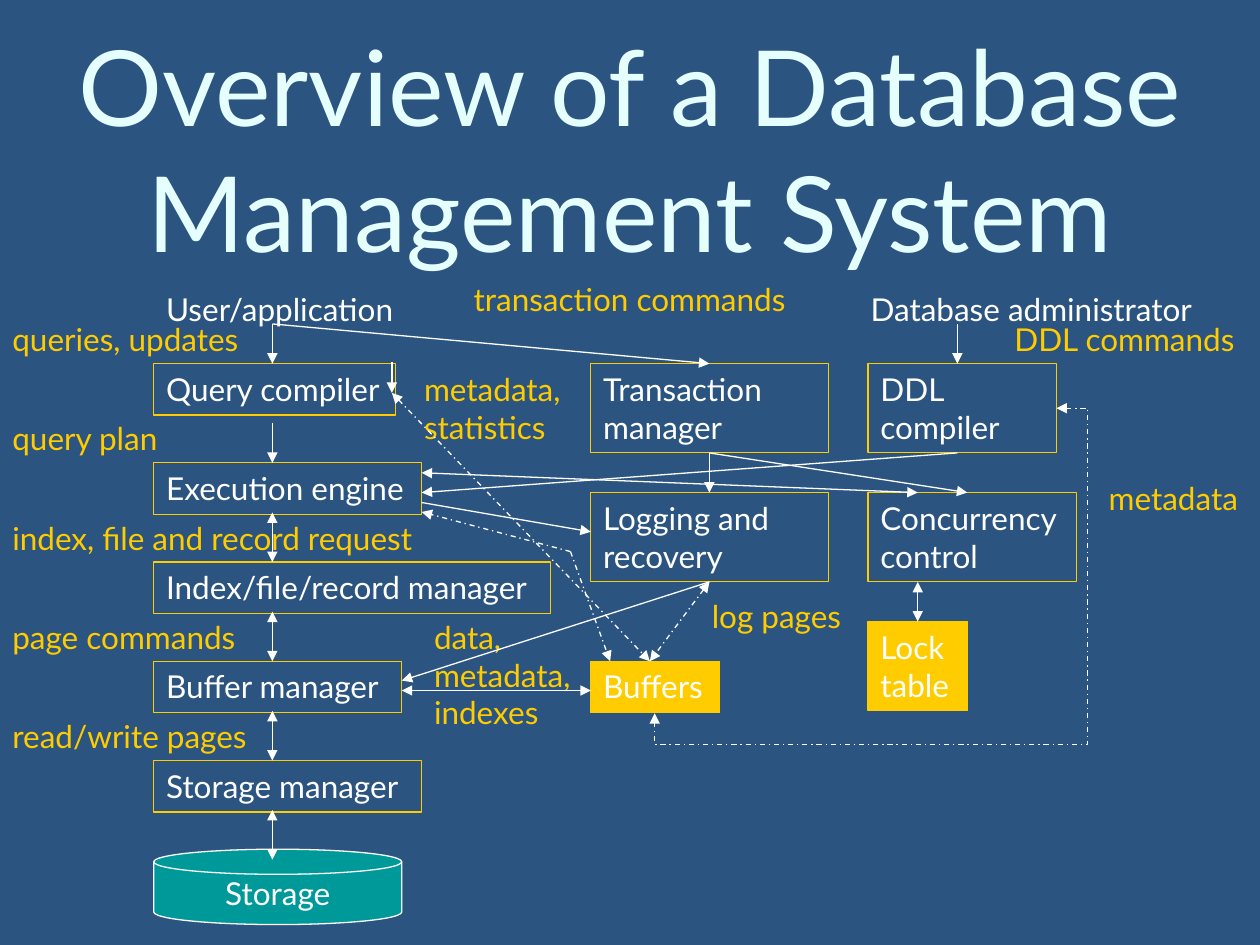
"""Build the database management system overview slide."""
from dataclasses import dataclass

from lxml.etree import SubElement
from pptx import Presentation
from pptx.dml.color import RGBColor
from pptx.enum.dml import MSO_LINE
from pptx.enum.shapes import MSO_CONNECTOR, MSO_SHAPE
from pptx.enum.text import MSO_ANCHOR, MSO_AUTO_SIZE, PP_ALIGN
from pptx.oxml.ns import qn
from pptx.util import Cm, Pt

COLORS = {"back": "2B5481", "title": "E5FFFF", "text": "FFFFFF",
          "accent": "FFCC00", "disk": "009999"}
GROW = {"word_wrap": True, "auto_size": MSO_AUTO_SIZE.SHAPE_TO_FIT_TEXT,
        "vertical_anchor": MSO_ANCHOR.TOP}
TITLE = {"word_wrap": True, "auto_size": MSO_AUTO_SIZE.NONE,
         "vertical_anchor": MSO_ANCHOR.MIDDLE}
DISK = {**TITLE, "word_wrap": False}

LEFT, MIDDLE, RIGHT = 3.1, 11.91, 17.5
TOP, STEP, TALL_STEP = 7.33, 2.0, 2.6
ONE_LINE, TWO_LINES = 1.04, 1.8
FLOW_X, MANAGER_X = 5.49, 14.3


@dataclass
class Box:
    text: str
    x: float
    y: float
    w: float
    h: float = ONE_LINE
    fill: str = ""
    line: str = "accent"
    kind: MSO_SHAPE = MSO_SHAPE.RECTANGLE


@dataclass
class Label:
    text: str
    x: float
    y: float
    w: float
    h: float = 1.02
    color: str = "accent"


@dataclass
class Arrow:
    x1: float
    y1: float
    x2: float
    y2: float
    both: bool = False
    dashed: bool = False
    bend: tuple[int, ...] = ()


def rgb(name: str) -> RGBColor:
    return RGBColor.from_string(COLORS[name])


def apply(target: object, values: dict) -> None:
    for key, value in values.items():
        setattr(target, key, value)


def write(tf, text: str, color: str, frame: dict, size: int = 18,
          align: PP_ALIGN = PP_ALIGN.LEFT) -> None:
    apply(tf, frame)
    p = tf.paragraphs[0]
    p.alignment = align
    r = p.add_run()
    r.text = text
    apply(r.font, {"name": "Lato", "size": Pt(size)})
    r.font.color.rgb = rgb(color)


def draw_box(s, box: Box) -> None:
    sp = s.shapes.add_shape(box.kind, Cm(box.x), Cm(box.y), Cm(box.w), Cm(box.h))
    sp.shadow.inherit = False
    if box.fill:
        sp.fill.solid()
        sp.fill.fore_color.rgb = rgb(box.fill)
    else:
        sp.fill.background()
    sp.line.color.rgb = rgb(box.line)
    sp.line.width = Pt(0.75)
    disk = box.kind == MSO_SHAPE.FLOWCHART_MAGNETIC_DISK
    write(sp.text_frame, box.text, "text", DISK if disk else GROW,
          align=PP_ALIGN.CENTER if disk else PP_ALIGN.LEFT)


def draw_label(s, label: Label) -> None:
    sp = s.shapes.add_textbox(Cm(label.x), Cm(label.y), Cm(label.w), Cm(label.h))
    write(sp.text_frame, label.text, label.color, GROW)


def draw_arrow(s, arrow: Arrow) -> None:
    kind = MSO_CONNECTOR.ELBOW if arrow.bend else MSO_CONNECTOR.STRAIGHT
    sp = s.shapes.add_connector(kind, Cm(arrow.x1), Cm(arrow.y1),
                                Cm(arrow.x2), Cm(arrow.y2))
    sp.line.color.rgb = rgb("text")
    sp.line.width = Pt(0.75)
    if arrow.dashed:
        sp.line.dash_style = MSO_LINE.DASH_DOT
    props = sp.line._get_or_add_ln().getparent()
    ends = ("a:headEnd", "a:tailEnd") if arrow.both else ("a:tailEnd",)
    for end in ends:
        SubElement(props.find(qn("a:ln")), qn(end), type="triangle")
    SubElement(props, qn("a:effectLst"))
    if arrow.bend:
        geom = props.find(qn("a:prstGeom"))
        geom.set("prst", f"bentConnector{len(arrow.bend) + 2}")
        guides = geom.find(qn("a:avLst"))
        for i, value in enumerate(arrow.bend, 1):
            SubElement(guides, qn("a:gd"), name=f"adj{i}", fmla=f"val {value}")


STAGES = [("Query compiler", 4.87), ("Execution engine", 5.4),
          ("Index/file/record manager", 8.0), ("Buffer manager", 5.0),
          ("Storage manager", 5.4)]
REQUESTS = [("queries, updates", 5.89), ("query plan", 4.9),
            ("index, file and record request", 9.09),
            ("page commands", 5.49), ("read/write pages", 5.49)]
TALL = [("Transaction manager", MIDDLE, 0, 4.8, ""),
        ("Logging and recovery", MIDDLE, 1, 4.8, ""),
        ("DDL compiler", RIGHT, 0, 3.8, ""),
        ("Concurrency control", RIGHT, 1, 4.2, ""),
        ("Lock table", RIGHT, 2, 2.0, "accent")]

BOXES = [
    *(Box(t, LEFT, TOP + i * STEP, w) for i, (t, w) in enumerate(STAGES)),
    *(Box(t, x, TOP + row * TALL_STEP, w, TWO_LINES, fill)
      for t, x, row, w, fill in TALL),
    Box("Buffers", MIDDLE, TOP + 3 * STEP, 2.6, fill="accent"),
    Box("Storage", LEFT, 17.12, 5.0, 1.52, "disk", "text",
        MSO_SHAPE.FLOWCHART_MAGNETIC_DISK),
]
LABELS = [
    *(Label(t, 0, TOP - 1 + i * STEP, w) for i, (t, w) in enumerate(REQUESTS)),
    Label("User/application", LEFT, 5.72, 5.21, color="text"),
    Label("Database administrator", 17.3, 5.72, 7.21, color="text"),
    Label("transaction commands", 9.3, 5.53, 7.37),
    Label("DDL commands", 20.2, 6.33, 5.2),
    Label("log pages", 14.1, 11.92, 3.4),
    Label("metadata", 22.1, 9.53, 3.3),
    Label("metadata, statistics", 8.3, TOP, 3.61, 1.78),
    Label("data, metadata, indexes", 8.5, 12.33, 3.35, 2.54),
]
ARROWS = [
    *(Arrow(FLOW_X, y - 0.8, FLOW_X, y) for y in (TOP, TOP + STEP)),
    *(Arrow(FLOW_X, TOP + i * STEP - 1, FLOW_X, TOP + i * STEP, both=True)
      for i in range(2, 6)),
    Arrow(FLOW_X, 6.53, MANAGER_X, TOP),
    Arrow(MANAGER_X, 9.13, MANAGER_X, 9.93),
    Arrow(8.5, 10.13, MIDDLE, 10.72),
    Arrow(8.1, 13.92, MIDDLE, 13.92, both=True),
    Arrow(19.3, 9.13, 8.5, 9.93),
    Arrow(19.3, 6.53, 19.3, TOP),
    Arrow(MANAGER_X, 11.73, 8.1, 13.72),
    Arrow(18.5, 11.73, 18.5, 12.53, both=True),
    Arrow(MANAGER_X, 9.13, 19.5, 9.93),
    Arrow(8.5, 9.53, 18.5, 9.93, both=True),
    Arrow(7.9, 7.3, 7.9, 7.92),
    Arrow(MANAGER_X, 11.73, 13.1, 13.33, True, True),
    Arrow(7.9, 7.92, 13.1, 13.33, True, True),
    Arrow(21.3, 8.23, 13.2, 14.38, True, True, (-7800, 110300)),
    Arrow(11.5, 11.12, 8.5, 10.32, dashed=True),
    Arrow(11.5, 11.12, 12.3, 13.33, dashed=True),
]

prs = Presentation()
apply(prs, {"slide_width": Cm(25.4), "slide_height": Cm(19.05)})
s = prs.slides.add_slide(prs.slide_layouts[6])
s.background.fill.solid()
s.background.fill.fore_color.rgb = rgb("back")
title = s.shapes.add_textbox(Cm(1.27), Cm(1.07), Cm(22.86), Cm(3.81))
write(title.text_frame, "Overview of a Database Management System", "title",
      TITLE, 60, PP_ALIGN.CENTER)
for draw, items in ((draw_box, BOXES), (draw_label, LABELS), (draw_arrow, ARROWS)):
    for item in items:
        draw(s, item)
prs.save("out.pptx")
